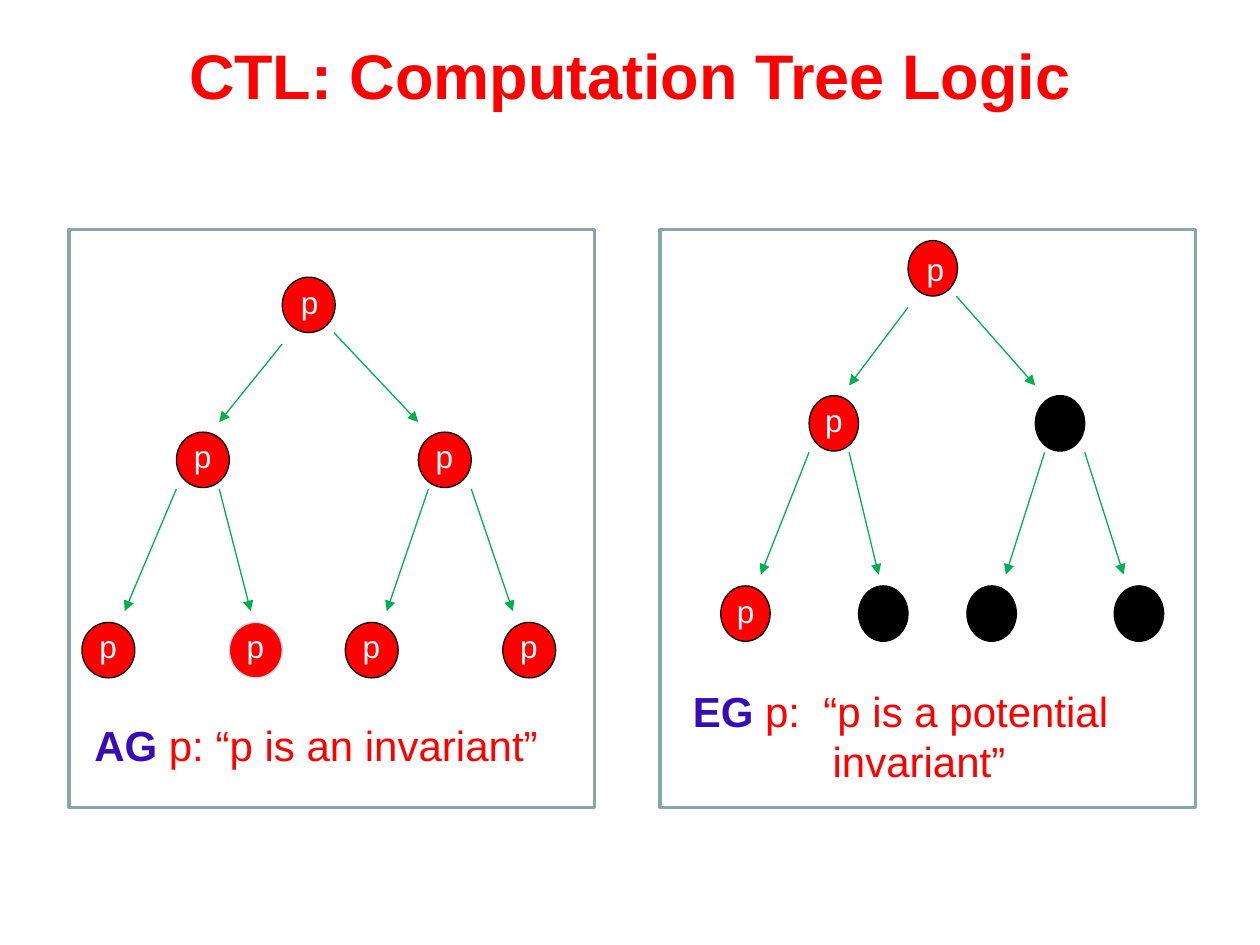
from lxml import etree
from pptx import Presentation
from pptx import util as u
from pptx.dml.color import RGBColor
from pptx.enum import shapes, text
from pptx.oxml.ns import qn

COLORS = {"red": "FF0000", "black": "000000", "pale": "BBE0E3", "green": "00B050",
          "indigo": "380BB5", "frame": "8AA6A8", "white": "FFFFFF"}

presentation = Presentation()
presentation.slide_width = u.Inches(10)
presentation.slide_height = u.Inches(7.5)
slide = presentation.slides.add_slide(presentation.slide_layouts[6])


def add_text(box, lines, size, align=text.PP_ALIGN.LEFT):
    """Add a text box; each line is a list of (words, color, bold) runs."""
    shape = slide.shapes.add_textbox(*[u.Inches(value) for value in box])
    frame = shape.text_frame
    for name, value in {"word_wrap": True, "vertical_anchor": text.MSO_ANCHOR.MIDDLE}.items():
        setattr(frame, name, value)
    for index, runs in enumerate(lines):
        paragraph = frame.add_paragraph() if index else frame.paragraphs[0]
        paragraph.alignment = align
        for words, color, bold in runs:
            run = paragraph.add_run()
            run.text = words
            run.font.color.rgb = RGBColor.from_string(COLORS[color])
            for name, value in {"name": "Arial", "size": u.Pt(size), "bold": bold}.items():
                setattr(run.font, name, value)
    return frame


def add_outlined(kind, box, fill, line, width):
    """Add a preset shape with an outline and an optional fill."""
    shape = slide.shapes.add_shape(kind, *[u.Inches(value) for value in box])
    shape.shadow.inherit = False
    if fill:
        shape.fill.solid()
        shape.fill.fore_color.rgb = RGBColor.from_string(COLORS[fill])
    else:
        shape.fill.background()
    shape.line.color.rgb = RGBColor.from_string(COLORS[line])
    shape.line.width = u.Pt(width)


# Title
title = add_text((0.92, 0, 8.16, 1.25), [[("CTL: Computation Tree Logic", "red", True)]],
                 36, text.PP_ALIGN.CENTER)
title.paragraphs[0].line_spacing = 0.9

# Tree layout, relative to the left edge of the first leaf and the top of the root
NODES = {"root": (1.59, 0), "left": (0.75, 1.23), "right": (2.67, 1.23),
         "leaf 1": (0, 2.74), "leaf 2": (1.17, 2.74),
         "leaf 3": (2.09, 2.74), "leaf 4": (3.34, 2.74)}
EDGES = [((1.59, 0.53), (1.09, 1.15)), ((2.0, 0.44), (2.67, 1.15)),
         ((0.75, 1.68), (0.34, 2.65)), ((1.09, 1.68), (1.34, 2.65)),
         ((2.75, 1.68), (2.42, 2.65)), ((3.09, 1.68), (3.42, 2.65))]
TREES = [
    {"left": 0.65, "top": 2.2, "scale": 1, "p": set(NODES), "pale": "leaf 2",
     "label": (0.04, -0.03), "root label": (0.05, -0.02)},
    {"left": 5.72, "top": 1.91, "scale": 0.935, "p": {"root", "left", "leaf 1"}, "pale": None,
     "label": (0.03, -0.02), "root label": (0.05, 0.01)},
]

for tree in TREES:
    left, top, scale = tree["left"], tree["top"], tree["scale"]

    # Arrows
    for start, end in EDGES:
        points = [u.Inches(value) for x, y in (start, end)
                  for value in (left + x * scale, top + y)]
        arrow = slide.shapes.add_connector(shapes.MSO_CONNECTOR.STRAIGHT, *points)
        arrow.line.color.rgb = RGBColor.from_string(COLORS["green"])
        arrow.line.width = u.Pt(0.75)
        etree.SubElement(arrow.line._get_or_add_ln(), qn("a:tailEnd"), type="triangle")
        etree.SubElement(arrow._element.spPr, qn("a:effectLst"))

    # States, labelled where p holds
    for name, (x, y) in NODES.items():
        node_left, node_top = left + x * scale, top + y
        holds = name in tree["p"]
        add_outlined(shapes.MSO_SHAPE.OVAL, (node_left, node_top, 0.42 * scale, 0.44),
                     "red" if holds else "black",
                     "pale" if name == tree["pale"] else "black", 0.75)
        if holds:
            dx, dy = tree["root label" if name == "root" else "label"]
            add_text((node_left + dx, node_top + dy, 0.34, 0.43),
                     [[("p", "white", False)]], 18)

# Captions
add_text((0.65, 5.64, 3.76, 0.54),
         [[("AG ", "indigo", True), ("p: “p is an invariant”", "red", False)]], 24)
potential = add_text((5.4, 5.36, 3.62, 0.96),
                     [[("EG ", "indigo", True), ("p:  “p is a potential", "red", False)],
                      [("invariant”", "red", False)]], 24)
potential.paragraphs[1]._p.get_or_add_pPr().set("marL", str(u.Inches(1.11)))

# Panel frames
for panel_left, panel_width in ((0.55, 4.17), (5.24, 4.25)):
    add_outlined(shapes.MSO_SHAPE.RECTANGLE, (panel_left, 1.82, panel_width, 4.59),
                 None, "frame", 2)

presentation.save("out.pptx")
